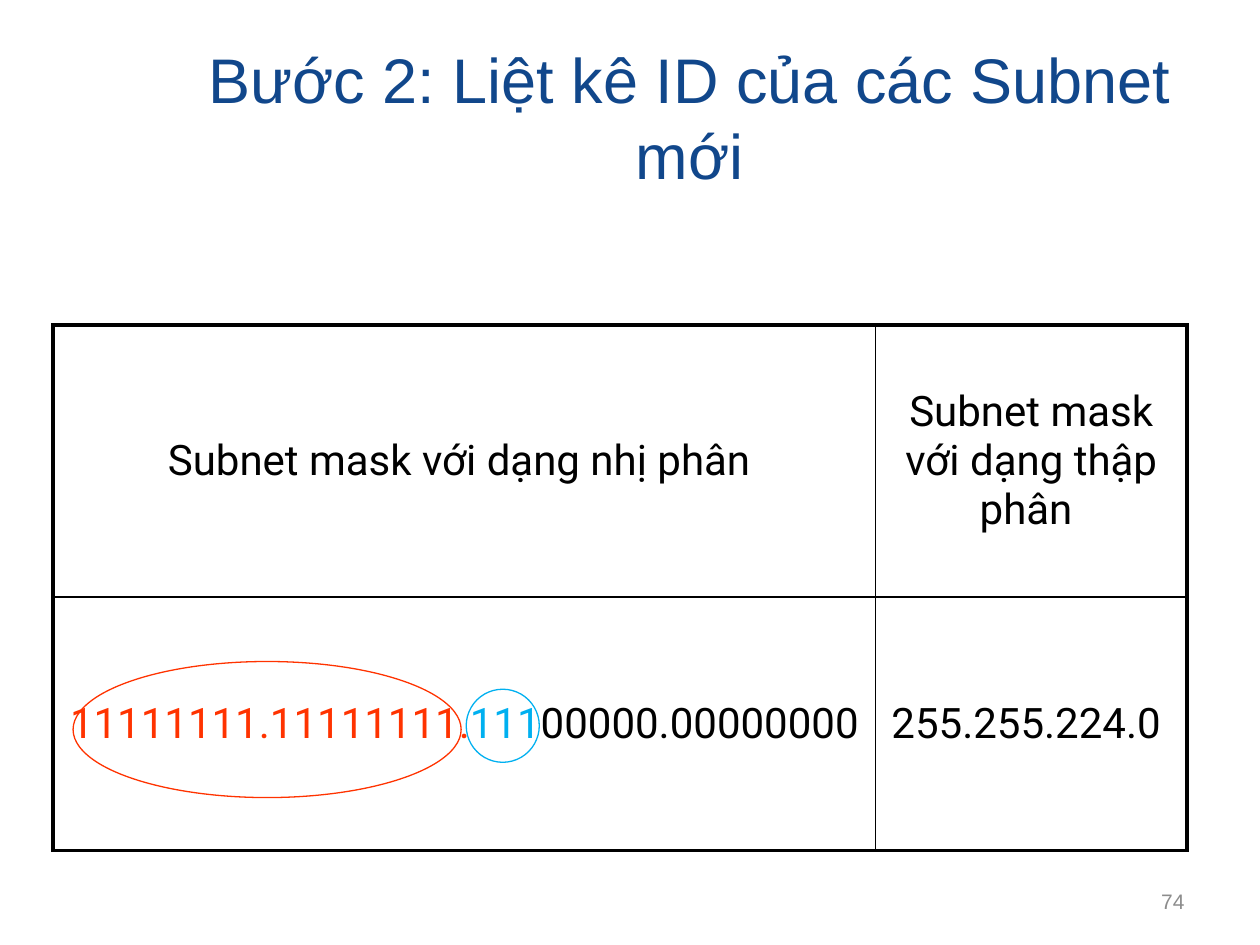
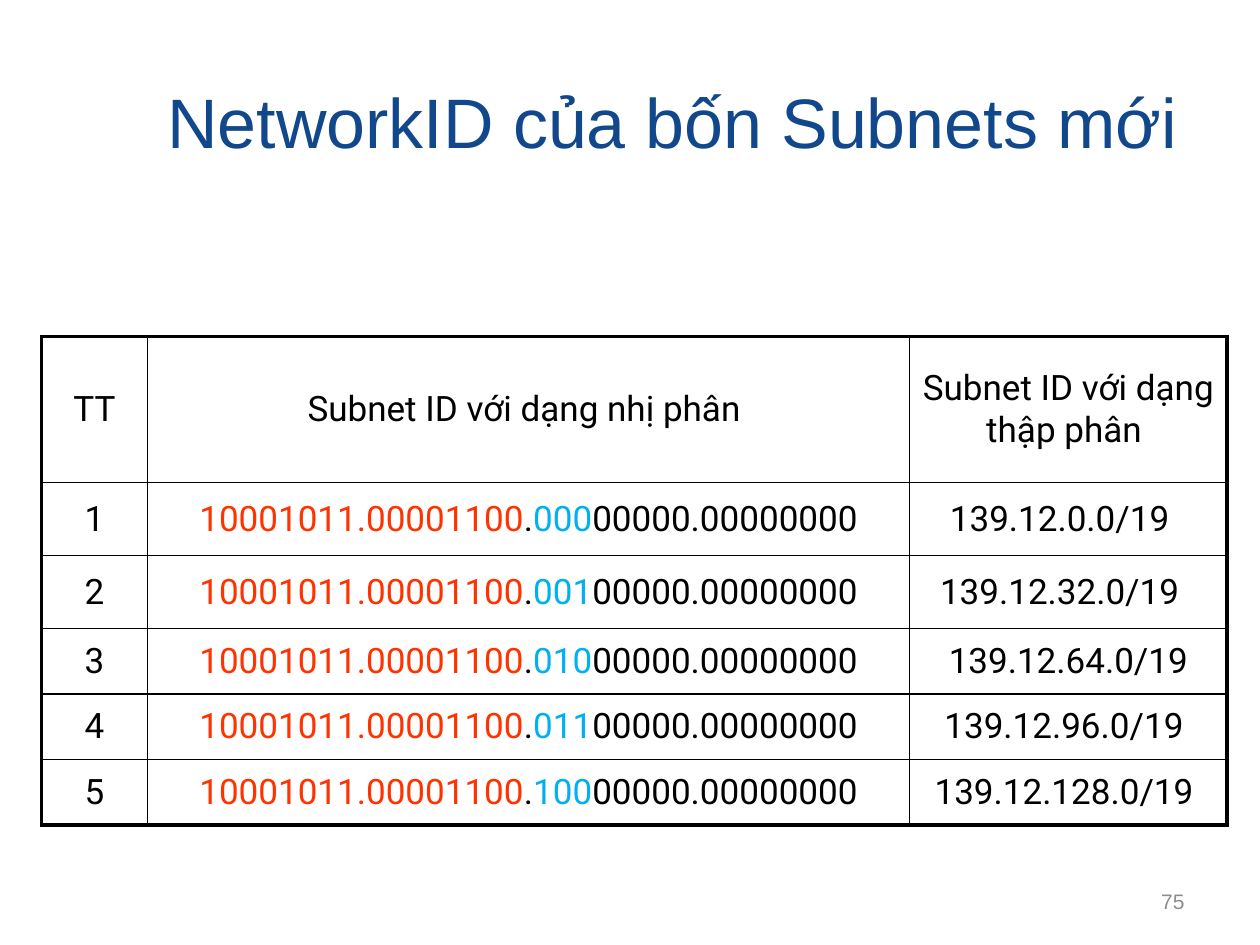
from dataclasses import dataclass

from lxml import etree
from pptx import Presentation, util as u
from pptx.dml.color import RGBColor
from pptx.enum import shapes, text
from pptx.oxml import ns


@dataclass(frozen=True)
class Theme:
    title: str = "11478B"
    ink: str = "000000"
    network: str = "FF3300"
    subnet: str = "00B0F0"
    footer: str = "8C8C8C"
    title_font: str = "Arial"
    table_font: str = "Roboto"
    footer_size: int = 12
    outer_line: float = 2.25
    inner_line: float = 1
    ring_line: float = 0.75
    space_width: float = 0.07


THEME = Theme()
WIDTH, HEIGHT = 10, 7.5
FOOTER_BOX = (7.17, 6.95, 2.33, 0.4)

# Content: a cell is plain text or a list of (text, colour) spans
HOST_BITS = "00000.00000000"
NETWORK_BITS = "10001011.00001100"
SUBNETS = [  # subnet bits, decimal form, extra spaces kept free at its right
    ("000", "139.12.0.0/19 ", 1),
    ("001", "139.12.32.0/19 ", 1),
    ("010", "139.12.64.0/19", 0),
    ("011", "139.12.96.0/19 ", 0),
    ("100", "139.12.128.0/19 ", 0),
]

MASK_ROWS = [
    ["Subnet mask với dạng nhị phân ", "Subnet mask với dạng thập phân "],
    [[("11111111.11111111.", THEME.network), ("111", THEME.subnet),
      (HOST_BITS + " ", THEME.ink)], "255.255.224.0 "],
]
SUBNET_ROWS = [["TT", "Subnet ID với dạng nhị phân ", "Subnet ID với dạng thập phân "]] + [
    [str(number),
     [(NETWORK_BITS, THEME.network), (".", THEME.ink),
      (bits, THEME.subnet), (HOST_BITS, THEME.ink)],
     decimal]
    for number, (bits, decimal, _) in enumerate(SUBNETS, 1)
]

PAGES = [
    dict(number=74, title="Bước 2: Liệt kê ID của các Subnet mới",
         title_box=(1.17, 0.34, 8.61, 1.17), title_size=36,
         rows=MASK_ROWS, corner=(0.42, 2.58), columns=[6.53, 2.47],
         heights=[2.16, 2.01], size=24, gaps={},
         rings=[((0.58, 5.25, 3.08, 1.08), THEME.network),
                ((3.7, 5.47, 0.58, 0.58), THEME.subnet)]),
    dict(number=75, title="NetworkID của bốn Subnets mới ",
         title_box=(1.17, 0.33, 8.33, 1.25), title_size=40,
         rows=SUBNET_ROWS, corner=(0.33, 2.67), columns=[0.84, 6.05, 2.52],
         heights=[1.16] + [0.58] * 2 + [0.52] * 3, size=20,
         gaps={(row, 2): gap for row, (_, _, gap) in enumerate(SUBNETS, 1)},
         rings=[]),
]


def inches(box):
    return [u.Inches(length) for length in box]


def write(frame, content, *, size, font, colour=THEME.ink,
          align=text.PP_ALIGN.CENTER, before=0):
    """Fill a text frame with one paragraph of formatted spans."""
    frame.word_wrap = True
    para = frame.paragraphs[0]
    para.alignment = align
    para.space_before = u.Pt(before)
    spans = [(content, colour)] if isinstance(content, str) else content
    for words, shade in spans:
        span = para.add_run()
        span.text = words
        span.font.name, span.font.size, span.font.bold = font, u.Pt(size), False
        span.font.color.rgb = RGBColor.from_string(shade)


def draw_borders(cell, widths):
    properties = cell._tc.get_or_add_tcPr()
    for side, width in zip("LRTB", widths):
        line = etree.SubElement(properties, ns.qn(f"a:ln{side}"), w=str(u.Pt(width)))
        fill = etree.SubElement(line, ns.qn("a:solidFill"))
        etree.SubElement(fill, ns.qn("a:srgbClr"), val=THEME.ink)


def add_grid(page, rows, corner, columns, heights, size, gaps):
    """Add a table with a heavy frame and thin inner lines."""
    box = inches((*corner, sum(columns), sum(heights)))
    table = page.shapes.add_table(len(rows), len(columns), *box).table
    table.first_row = table.horz_banding = False
    for column, width in zip(table.columns, columns):
        column.width = u.Inches(width)
    for row, height in zip(table.rows, heights):
        row.height = u.Inches(height)

    for r, row in enumerate(rows):
        for c, content in enumerate(row):
            cell = table.cell(r, c)
            outer = (c == 0, c == len(row) - 1, r == 0, r == len(rows) - 1)
            draw_borders(cell, [THEME.outer_line if edge else THEME.inner_line
                                for edge in outer])
            cell.fill.background()
            cell.vertical_anchor = text.MSO_ANCHOR.MIDDLE
            cell.margin_right = u.Inches(0.1 + gaps.get((r, c), 0) * THEME.space_width)
            write(cell.text_frame, content, size=size, font=THEME.table_font,
                  before=size * 0.2)


def add_ring(page, box, colour):
    ring = page.shapes.add_shape(shapes.MSO_SHAPE.OVAL, *inches(box))
    ring.shadow.inherit = False
    ring.fill.background()
    ring.line.color.rgb = RGBColor.from_string(colour)
    ring.line.width = u.Pt(THEME.ring_line)


def add_page(deck, plan):
    page = deck.slides.add_slide(deck.slide_layouts.get_by_name("Title Only"))

    # Title
    title = page.shapes.title
    title.left, title.top, title.width, title.height = inches(plan["title_box"])
    title.text_frame.auto_size = text.MSO_AUTO_SIZE.NONE
    title.text_frame.vertical_anchor = text.MSO_ANCHOR.MIDDLE
    write(title.text_frame, plan["title"], size=plan["title_size"],
          font=THEME.title_font, colour=THEME.title)

    # Table, page number and rings around the mask bits
    add_grid(page, *(plan[key] for key in
                     ("rows", "corner", "columns", "heights", "size", "gaps")))
    footer = page.shapes.add_textbox(*inches(FOOTER_BOX)).text_frame
    footer.vertical_anchor = text.MSO_ANCHOR.MIDDLE
    write(footer, str(plan["number"]), size=THEME.footer_size, font=THEME.title_font,
          colour=THEME.footer, align=text.PP_ALIGN.RIGHT)
    for box, colour in plan["rings"]:
        add_ring(page, box, colour)


def main():
    deck = Presentation()
    deck.slide_width, deck.slide_height = inches((WIDTH, HEIGHT))
    for plan in PAGES:
        add_page(deck, plan)
    deck.save("out.pptx")


if __name__ == "__main__":
    main()
